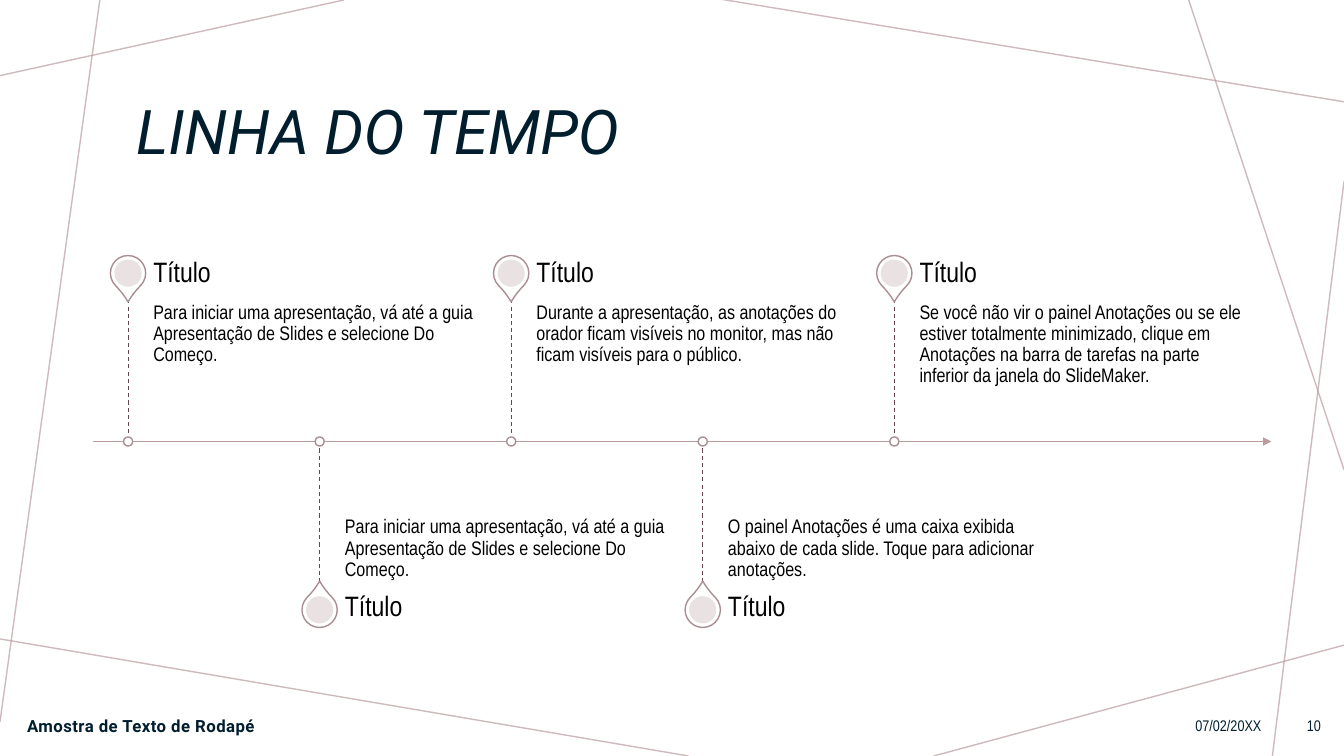
from lxml import etree
from pptx import Presentation
from pptx.dml.color import RGBColor
from pptx.enum import dml, shapes, text
from pptx.oxml import ns
from pptx.util import Inches, Pt

WHITE = RGBColor(0xFF, 0xFF, 0xFF)
BLACK = RGBColor(0, 0, 0)
NAVY = RGBColor(0x00, 0x1E, 0x2E)
ROSE = RGBColor(0xBA, 0x9C, 0xA0)
MAUVE = RGBColor(0xA9, 0x8E, 0x91)
PLUM = RGBColor(0x65, 0x46, 0x4A)
BLUSH = RGBColor(0xE7, 0xDE, 0xDF)
NARROW = "Arial Narrow"
TOP, MID, LOW = text.MSO_ANCHOR.TOP, text.MSO_ANCHOR.MIDDLE, text.MSO_ANCHOR.BOTTOM
LEFT, RIGHT = text.PP_ALIGN.LEFT, text.PP_ALIGN.RIGHT
KIND = shapes.MSO_SHAPE

deck = Presentation()
deck.slide_width, deck.slide_height = Inches(13.33), Inches(7.5)
slide = deck.slides.add_slide(deck.slide_layouts[5])


def stroke(x1, y1, x2, y2, color, width=1):
    line = slide.shapes.add_connector(
        shapes.MSO_CONNECTOR.STRAIGHT, Inches(x1), Inches(y1), Inches(x2), Inches(y2))
    line.line.color.rgb = color
    line.line.width = Pt(width)
    etree.SubElement(line._element.spPr, ns.qn("a:effectLst"))
    return line


def write(box, words, size, font, color, anchor=MID, align=LEFT, pads=(0.1, 0.05), lead=1.0):
    """Fill a text shape with one run; pads are the side and the top/bottom insets."""
    frame = box.text_frame
    frame.word_wrap = True
    frame.vertical_anchor = anchor
    frame.margin_left = frame.margin_right = Inches(pads[0])
    frame.margin_top = frame.margin_bottom = Inches(pads[1])
    para = frame.paragraphs[0]
    para.alignment, para.line_spacing = align, lead
    run = para.add_run()
    run.text = words
    run.font.size, run.font.name = Pt(size), font
    run.font.color.rgb = color
    return run


# Background lines
for ends in [(3.41, 0, 0, 0.75), (0.99, 0, 0, 7.16), (6.83, 7.5, -0.05, 6.33),
             (13.33, 6.4, 9.26, 7.5), (13.33, 1.8, 12.62, 7.5),
             (13.33, 4.66, 11.79, 0), (13.33, 1.01, 7.14, -0.01)]:
    ray = stroke(*ends, ROSE)
    tint = ray._element.spPr.find(".//" + ns.qn("a:srgbClr"))
    etree.SubElement(tint, ns.qn("a:alpha"), val="70000")

# Time axis
AXIS = 4.38
axis = stroke(0.92, AXIS, 12.61, AXIS, ROSE)
etree.SubElement(axis._element.spPr.find(ns.qn("a:ln")), ns.qn("a:tailEnd"), type="triangle")

# Milestones, alternately above and below the axis
START = "Para iniciar uma apresentação, vá até a guia Apresentação de Slides e selecione Do Começo."
notes = [
    START,
    START,
    "Durante a apresentação, as anotações do orador ficam visíveis no monitor, "
    "mas não ficam visíveis para o público.",
    "O painel Anotações é uma caixa exibida abaixo de cada slide. "
    "Toque para adicionar anotações.",
    "Se você não vir o painel Anotações ou se ele estiver totalmente minimizado, clique em "
    "Anotações na barra de tarefas na parte inferior da janela do SlideMaker.",
]
for i, note in enumerate(notes):
    x = 1.27 + 1.9 * i
    if i % 2 == 0:
        pin, tip, head, body, anchor, turn = 2.71, 2.97, 2.47, 2.97, TOP, 135
    else:
        pin, tip, head, body, anchor, turn = 6.05, 5.78, 5.78, AXIS, LOW, 315

    stem = stroke(x, tip, x, AXIS, PLUM, 0.75)
    stem.line.dash_style = dml.MSO_LINE.DASH

    for kind, y, size, fill, edge in [(KIND.TEAR, pin, 0.35, WHITE, MAUVE),
                                      (KIND.OVAL, pin, 0.27, BLUSH, None),
                                      (KIND.OVAL, AXIS, 0.09, WHITE, MAUVE)]:
        mark = slide.shapes.add_shape(
            kind, Inches(x - size / 2), Inches(y - size / 2), Inches(size), Inches(size))
        mark.shadow.inherit = False
        mark.fill.solid()
        mark.fill.fore_color.rgb = fill
        if edge is None:
            mark.line.fill.background()
            tint = mark._element.spPr.find(".//" + ns.qn("a:srgbClr"))
            etree.SubElement(tint, ns.qn("a:alpha"), val="90000")
        else:
            mark.line.color.rgb = edge
            mark.line.width = Pt(1)
        if kind == KIND.TEAR:
            mark.adjustments[0] = 1.15
            mark.rotation = turn

    for words, y, tall, size, hold, pad in [(note, body, 1.41, 14, anchor, 0.03),
                                            ("Título", head, 0.49, 20, MID, 0)]:
        box = slide.shapes.add_textbox(Inches(x + 0.25), Inches(y), Inches(3.21), Inches(tall))
        write(box, words, size, NARROW, BLACK, hold, pads=(0, pad), lead=0.9)

# Title
title = slide.shapes.title
title.left, title.top = Inches(1.25), Inches(0.58)
title.width, title.height = Inches(10.83), Inches(1.51)
write(title, "LINHA DO TEMPO", 44, "Roboto", NAVY, lead=0.9).font.italic = True

# Footer
for words, x, wide, size, font, align in [
        ("Amostra de Texto de Rodapé", 0.17, 4.92, 12, "Roboto", LEFT),
        ("07/02/20XX", 8.02, 4.59, 11, NARROW, RIGHT),
        ("10", 12.69, 0.51, 11, NARROW, RIGHT)]:
    box = slide.shapes.add_textbox(Inches(x), Inches(7), Inches(wide), Inches(0.4))
    run = write(box, words, size, font, NAVY, align=align)
    if font == "Roboto":
        run.font.bold = True
        run.font._element.set("spc", "30")

deck.save("out.pptx")
